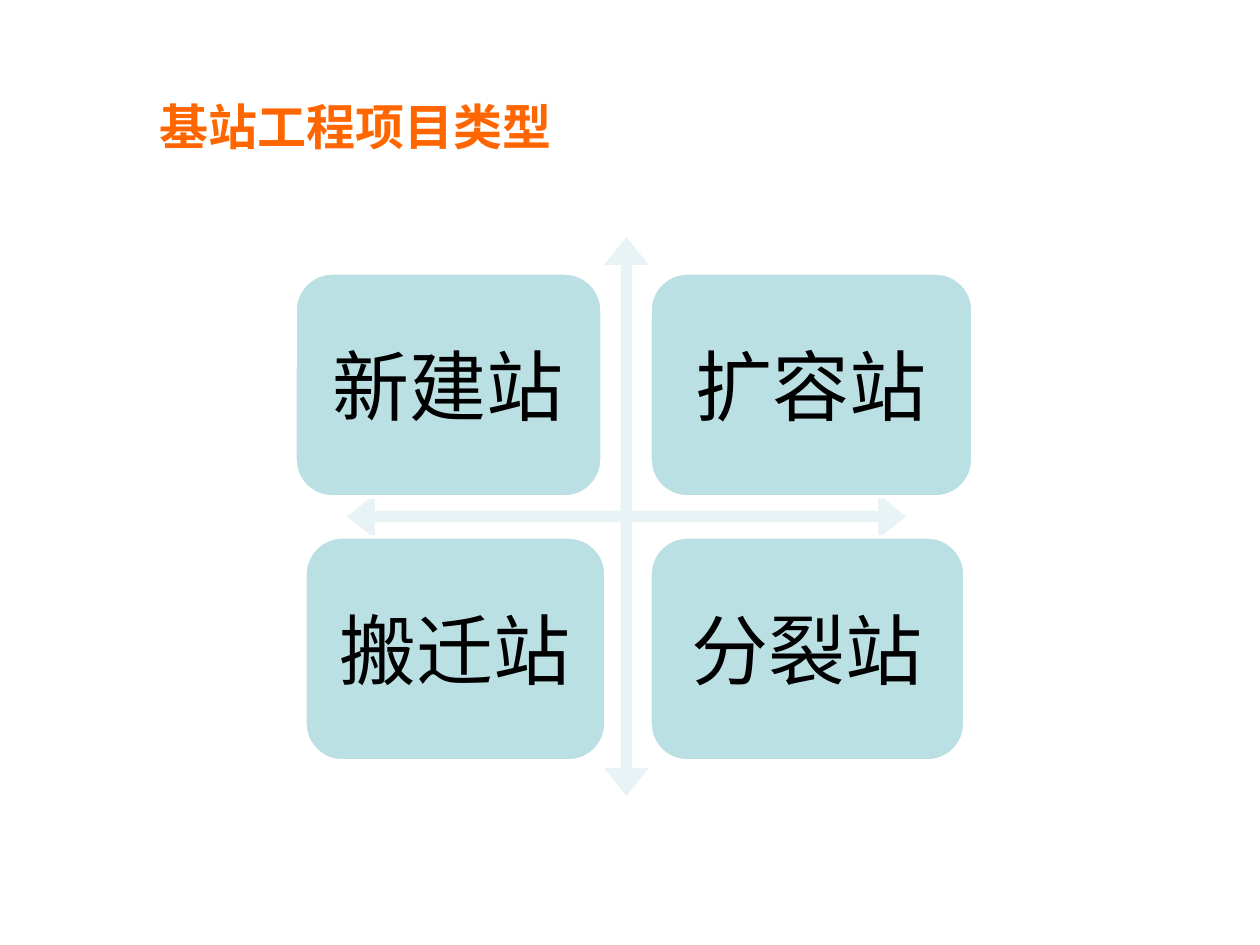
from lxml.etree import SubElement
from pptx import Presentation
from pptx.dml.color import RGBColor
from pptx.enum.shapes import MSO_SHAPE
from pptx.enum.text import MSO_ANCHOR, PP_ALIGN
from pptx.oxml.ns import qn
from pptx.util import Pt

TITLE = "基站工程项目类型"
TITLE_BOX = (147, 78, 571, 95)
STATIONS = [
    [("新建站", 295, 307), ("扩容站", 650, 323)],
    [("搬迁站", 305, 301), ("分裂站", 650, 315)],
]
ROW_TOP, ROW_STEP, STATION_HEIGHT = 273, 264, 224
STATION_INSET = 23
AXES_BOX = (347, 237, 559, 559)
AXES_PROPORTIONS = (0.02, 0.04, 0.05)
FONT = "Noto Sans CJK SC"
ORANGE, TEAL, PALE_TEAL = "FF6600", "BBE0E3", "E7F3F4"
BLACK, WHITE = "000000", "FFFFFF"


def px(length):
    return round(length * 914400 / 126)


def color(hex_string):
    return RGBColor.from_string(hex_string)


def write(shape, text, size, text_color, align, bold=False):
    frame = shape.text_frame
    frame.text = text
    frame.word_wrap = True
    frame.vertical_anchor = MSO_ANCHOR.MIDDLE
    paragraph = frame.paragraphs[0]
    paragraph.alignment = align
    font = paragraph.font
    font.size = Pt(size)
    font.bold = bold
    font.color.rgb = color(text_color)
    font.name = FONT
    defaults = paragraph._p.pPr.find(qn("a:defRPr"))
    SubElement(defaults, qn("a:ea")).set("typeface", FONT)


def add_filled(slide, preset, box, fill):
    shape = slide.shapes.add_shape(preset, *map(px, box))
    shape.shadow.inherit = False
    shape.fill.solid()
    shape.fill.fore_color.rgb = color(fill)
    return shape


def add_station(slide, name, box):
    station = add_filled(slide, MSO_SHAPE.ROUNDED_RECTANGLE, box, TEAL)
    station.line.color.rgb = color(WHITE)
    station.line.width = Pt(2)
    frame = station.text_frame
    frame.margin_left = frame.margin_right = px(STATION_INSET)
    frame.margin_top = frame.margin_bottom = px(STATION_INSET)
    write(station, name, 44, BLACK, PP_ALIGN.CENTER)


def main():
    prs = Presentation()
    prs.slide_width, prs.slide_height = px(1260), px(945)
    slide = prs.slides.add_slide(prs.slide_layouts[5])

    title = slide.shapes.title
    title.left, title.top, title.width, title.height = map(px, TITLE_BOX)
    write(title, TITLE, 28, ORANGE, PP_ALIGN.LEFT, bold=True)

    axes = add_filled(slide, MSO_SHAPE.QUAD_ARROW, AXES_BOX, PALE_TEAL)
    axes.line.fill.background()
    for index, proportion in enumerate(AXES_PROPORTIONS):
        axes.adjustments[index] = proportion

    for row, stations in enumerate(STATIONS):
        top = ROW_TOP + row * ROW_STEP
        for name, left, width in stations:
            add_station(slide, name, (left, top, width, STATION_HEIGHT))

    prs.save("out.pptx")


if __name__ == "__main__":
    main()
